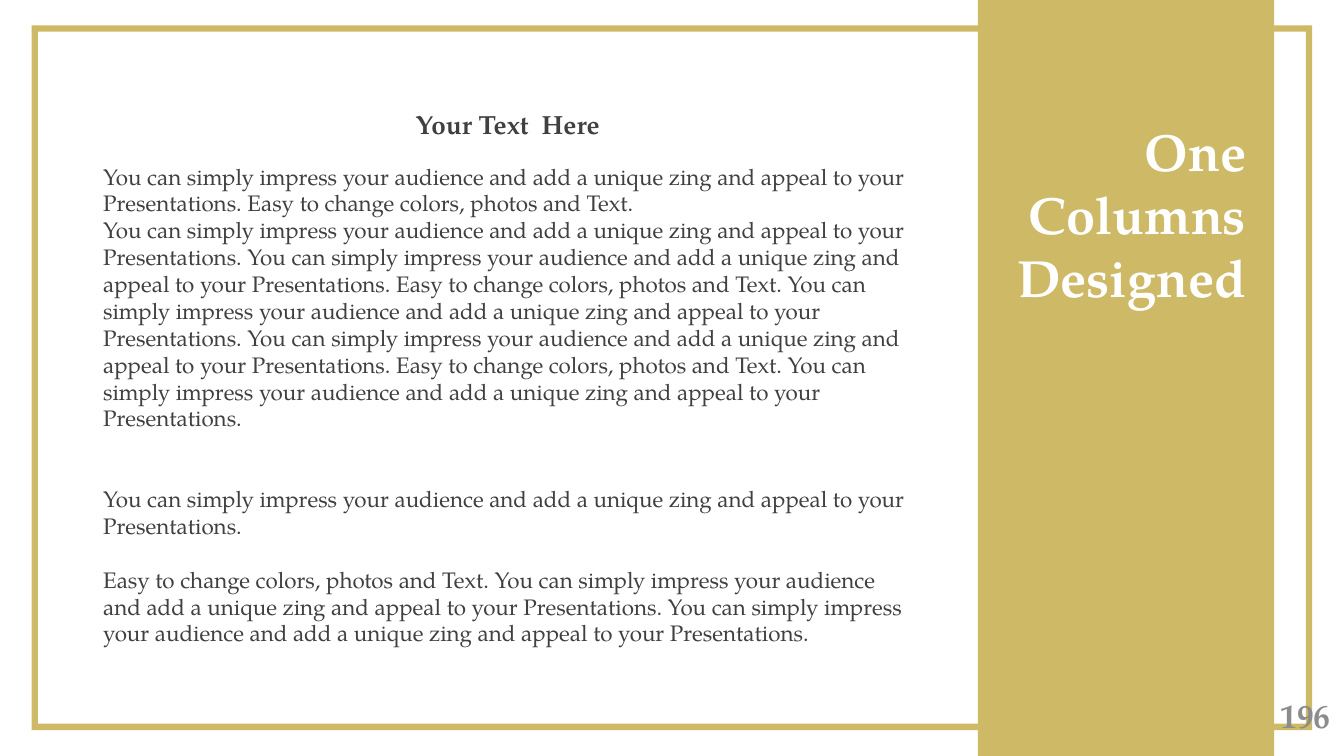
from pptx import Presentation
from pptx import util as u
from pptx.dml.color import RGBColor
from pptx.enum import shapes, text

HUES = {"gold": "CEB966", "white": "FFFFFF", "dark": "404040", "gray": "8C8C8C"}
FONT = "TeX Gyre Pagella"
LINE = 14.4  # height of one body line in points


class Deck:
    """Holds the style and the current slide."""

    def __init__(self, wide, high):
        self.prs = Presentation()
        self.prs.slide_width, self.prs.slide_height = u.Cm(wide), u.Cm(high)
        self.slide = self.prs.slides.add_slide(self.prs.slide_layouts[6])

    def hue(self, name):
        return RGBColor.from_string(HUES[name])

    def block(self, kind, at, fill):
        shape = self.slide.shapes.add_shape(kind, *map(u.Cm, at))
        shape.shadow.inherit = False
        shape.fill.solid()
        shape.fill.fore_color.rgb = self.hue(fill)
        shape.line.fill.background()
        return shape

    def words(self, at, paras, size, hue, bold=False,
              align=text.PP_ALIGN.LEFT, anchor=text.MSO_ANCHOR.TOP):
        """Each paragraph is a pair: blank lines before it, and its wording."""
        frame = self.slide.shapes.add_textbox(*map(u.Cm, at)).text_frame
        frame.word_wrap = True
        frame.vertical_anchor = anchor
        for i, (gap, words) in enumerate(paras):
            para = frame.add_paragraph() if i else frame.paragraphs[0]
            para.alignment = align
            if gap:
                para.space_before = u.Pt(gap * LINE)
            run = para.add_run()
            run.text = words
            run.font.name, run.font.size, run.font.bold = FONT, u.Pt(size), bold
            run.font.color.rgb = self.hue(hue)


def main():
    deck = Deck(25.4, 14.29)

    # Border and side band
    border = deck.block(shapes.MSO_SHAPE.FRAME, (0.6, 0.48, 24.2, 13.32), "gold")
    border.adjustments[0] = 0.009
    deck.block(shapes.MSO_SHAPE.RECTANGLE, (18.48, 0, 5.6, 14.29), "gold")

    # Title on the band
    deck.words((18.8, 2.13, 5, 4), [(0, "One Columns Designed")], 28, "white",
               bold=True, align=text.PP_ALIGN.RIGHT)

    # Body, made of two recurring sentences
    appeal = ("You can simply impress your audience and add a unique zing "
              "and appeal to your Presentations.")
    easy = "Easy to change colors, photos and Text."
    body = [
        (0, [appeal, easy]),
        (0, [appeal, appeal, easy] * 2 + [appeal]),
        (2, [appeal]),
        (1, [easy, appeal, appeal]),
    ]
    deck.words((1.7, 2.95, 15.8, 9.5),
               [(gap, " ".join(parts)) for gap, parts in body], 12, "dark")

    # Heading above the body
    deck.words((1.7, 1.93, 15.8, 0.86), [(0, "Your Text  Here")], 14, "dark",
               bold=True, align=text.PP_ALIGN.CENTER)

    # Slide number
    deck.words((19.48, 13.13, 5.92, 0.76), [(0, "196")], 18, "gray", bold=True,
               align=text.PP_ALIGN.RIGHT, anchor=text.MSO_ANCHOR.MIDDLE)

    deck.prs.save("out.pptx")


if __name__ == "__main__":
    main()
